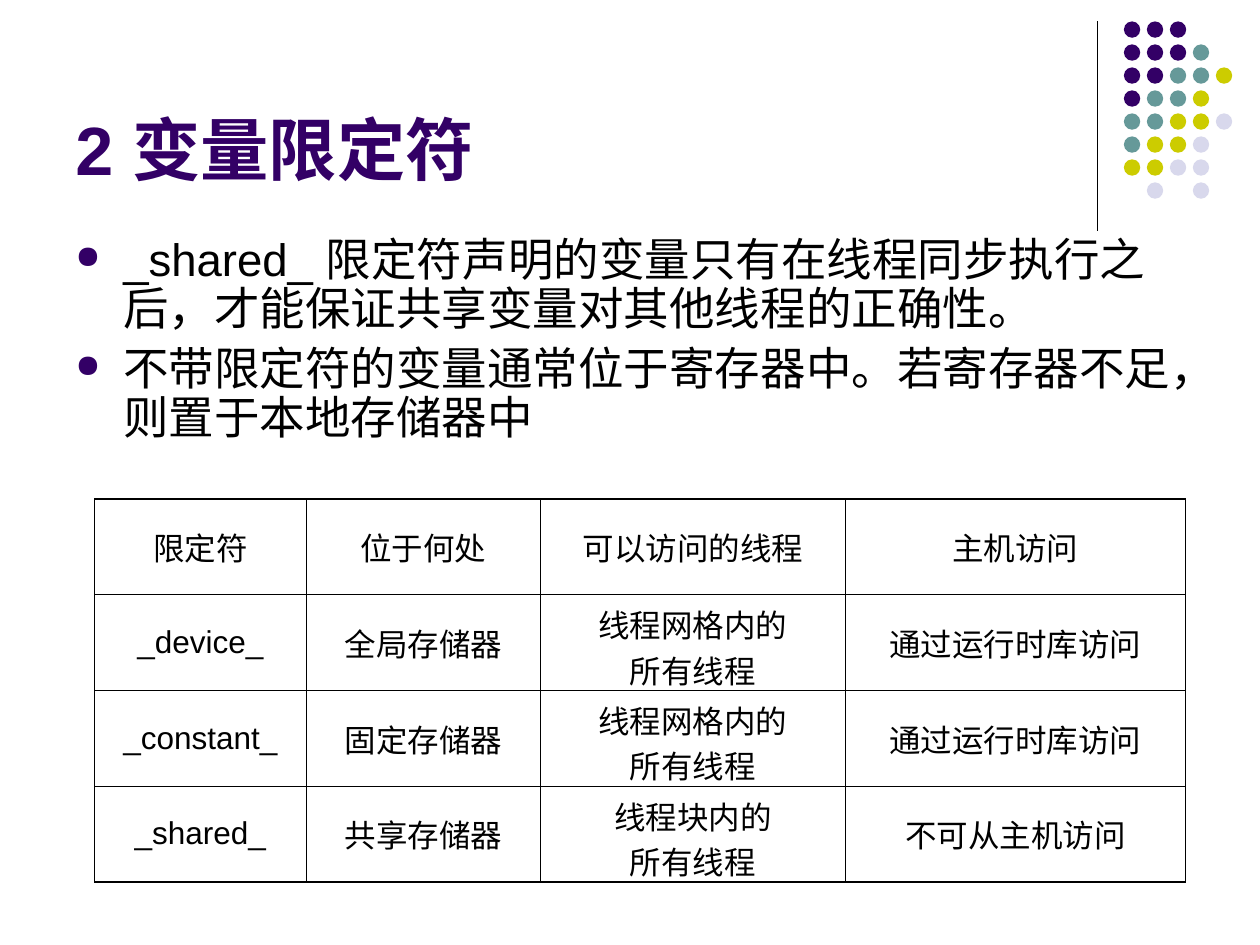
import lxml.etree
import pptx
import pptx.dml.color
import pptx.enum.shapes
import pptx.enum.text
import pptx.oxml.ns
import pptx.util

Inches = pptx.util.Inches
Pt = pptx.util.Pt
RGBColor = pptx.dml.color.RGBColor
qn = pptx.oxml.ns.qn

PURPLE = RGBColor(0x33, 0x00, 0x66)
TEAL = RGBColor(0x66, 0x99, 0x99)
LIME = RGBColor(0xCC, 0xCC, 0x00)
LAVENDER = RGBColor(0xD8, 0xD8, 0xEC)
BLACK = RGBColor(0x00, 0x00, 0x00)

DOT_COLORS = {"P": PURPLE, "T": TEAL, "L": LIME, "V": LAVENDER}
DOT_ROWS = ["PPP", "PPPT", "PPTTL", "PTTL", "TTLLV", "TLLV", "LLVV", ".V.V"]
DOT_PITCH = 0.73 / 4
DOT_SIZE = 0.13

TITLE = "2 变量限定符"
BULLETS = [
    "_shared_ 限定符声明的变量只有在线程同步执行之后，才能保证共享变量对其他线程的正确性。",
    "不带限定符的变量通常位于寄存器中。若寄存器不足，则置于本地存储器中",
]

# A line break inside a cell is written as \v.
QUALIFIERS = [
    ["限定符", "位于何处", "可以访问的线程", "主机访问"],
    ["_device_", "全局存储器", "线程网格内的\v所有线程", "通过运行时库访问"],
    ["_constant_", "固定存储器", "线程网格内的\v所有线程", "通过运行时库访问"],
    ["_shared_", "共享存储器", "线程块内的\v所有线程", "不可从主机访问"],
]
COLUMN_WIDTHS = [1.68, 1.86, 2.42, 2.7]
ROW_HEIGHT = 0.76
THIN, THICK = 0.34, 0.96


def style_font(font, size, color, bold=False):
    font.name = "Arial"
    font.size = Pt(size)
    font.bold = bold
    font.color.rgb = color


def add_divider(slide):
    divider = slide.shapes.add_connector(
        pptx.enum.shapes.MSO_CONNECTOR.STRAIGHT,
        Inches(8.71), Inches(0.17), Inches(8.71), Inches(1.83))
    divider.line.color.rgb = BLACK
    divider.line.width = Pt(0.75)
    properties = divider.element.find(qn("p:spPr"))
    lxml.etree.SubElement(properties, qn("a:effectLst"))


def add_dots(slide):
    for row, codes in enumerate(DOT_ROWS):
        for column, code in enumerate(codes):
            if code not in DOT_COLORS:
                continue
            dot = slide.shapes.add_shape(
                pptx.enum.shapes.MSO_SHAPE.OVAL,
                Inches(8.92 + column * DOT_PITCH), Inches(0.17 + row * DOT_PITCH),
                Inches(DOT_SIZE), Inches(DOT_SIZE))
            dot.shadow.inherit = False
            dot.fill.solid()
            dot.fill.fore_color.rgb = DOT_COLORS[code]
            dot.line.fill.background()


def add_text_frame(slide, left, top, width, height):
    box = slide.shapes.add_textbox(
        Inches(left), Inches(top), Inches(width), Inches(height))
    box.text_frame.word_wrap = True
    return box.text_frame


def add_title(slide):
    frame = add_text_frame(slide, 0.5, 0.13, 8.25, 1.42)
    frame.vertical_anchor = pptx.enum.text.MSO_ANCHOR.BOTTOM
    frame.text = TITLE
    style_font(frame.paragraphs[0].font, 39, PURPLE, bold=True)


def set_bullet(paragraph):
    properties = paragraph._p.get_or_add_pPr()
    properties.set("marL", str(Inches(0.38)))
    properties.set("indent", str(-Inches(0.38)))
    color = lxml.etree.Element(qn("a:buClr"))
    lxml.etree.SubElement(color, qn("a:srgbClr"), val=str(PURPLE))
    size = lxml.etree.Element(qn("a:buSzPct"), val="70000")
    character = lxml.etree.Element(qn("a:buChar"), char="●")
    defaults = properties.find(qn("a:defRPr"))
    for element in (color, size, character):
        defaults.addprevious(element)


def add_bullets(slide):
    frame = add_text_frame(slide, 0.5, 1.83, 8.92, 1.92)
    frame.text = "\n".join(BULLETS)
    for paragraph in frame.paragraphs:
        paragraph.line_spacing = 0.9
        paragraph.space_before = Pt(6.5)
        style_font(paragraph.font, 26, BLACK)
        set_bullet(paragraph)


def set_borders(cell, top, bottom):
    """Draw all four cell edges; the sides are always thin."""
    properties = cell._tc.get_or_add_tcPr()
    edges = [("a:lnL", THIN), ("a:lnR", THIN), ("a:lnT", top), ("a:lnB", bottom)]
    for position, (tag, width) in enumerate(edges):
        edge = lxml.etree.Element(qn(tag), w=str(Pt(width)))
        fill = lxml.etree.SubElement(edge, qn("a:solidFill"))
        lxml.etree.SubElement(fill, qn("a:srgbClr"), val=str(BLACK))
        properties.insert(position, edge)


def add_qualifier_table(slide):
    row_count = len(QUALIFIERS)
    table = slide.shapes.add_table(
        row_count, len(COLUMN_WIDTHS), Inches(0.75), Inches(3.96),
        Inches(sum(COLUMN_WIDTHS)), Inches(ROW_HEIGHT * row_count)).table
    table.first_row = False
    table.horz_banding = False
    for column, width in zip(table.columns, COLUMN_WIDTHS):
        column.width = Inches(width)

    edge_widths = [THICK, THICK] + [THIN] * (row_count - 2) + [THICK]
    for row, texts in enumerate(QUALIFIERS):
        table.rows[row].height = Inches(ROW_HEIGHT)
        for column, text in enumerate(texts):
            cell = table.cell(row, column)
            cell.vertical_anchor = pptx.enum.text.MSO_ANCHOR.MIDDLE
            cell.fill.background()
            set_borders(cell, edge_widths[row], edge_widths[row + 1])
            paragraph = cell.text_frame.paragraphs[0]
            paragraph.text = text
            paragraph.alignment = pptx.enum.text.PP_ALIGN.CENTER
            style_font(paragraph.font, 18, BLACK)


def main():
    presentation = pptx.Presentation()
    presentation.slide_width = Inches(10)
    presentation.slide_height = Inches(7.5)
    slide = presentation.slides.add_slide(presentation.slide_layouts[6])
    add_divider(slide)
    add_dots(slide)
    add_title(slide)
    add_bullets(slide)
    add_qualifier_table(slide)
    presentation.save("out.pptx")


if __name__ == "__main__":
    main()
